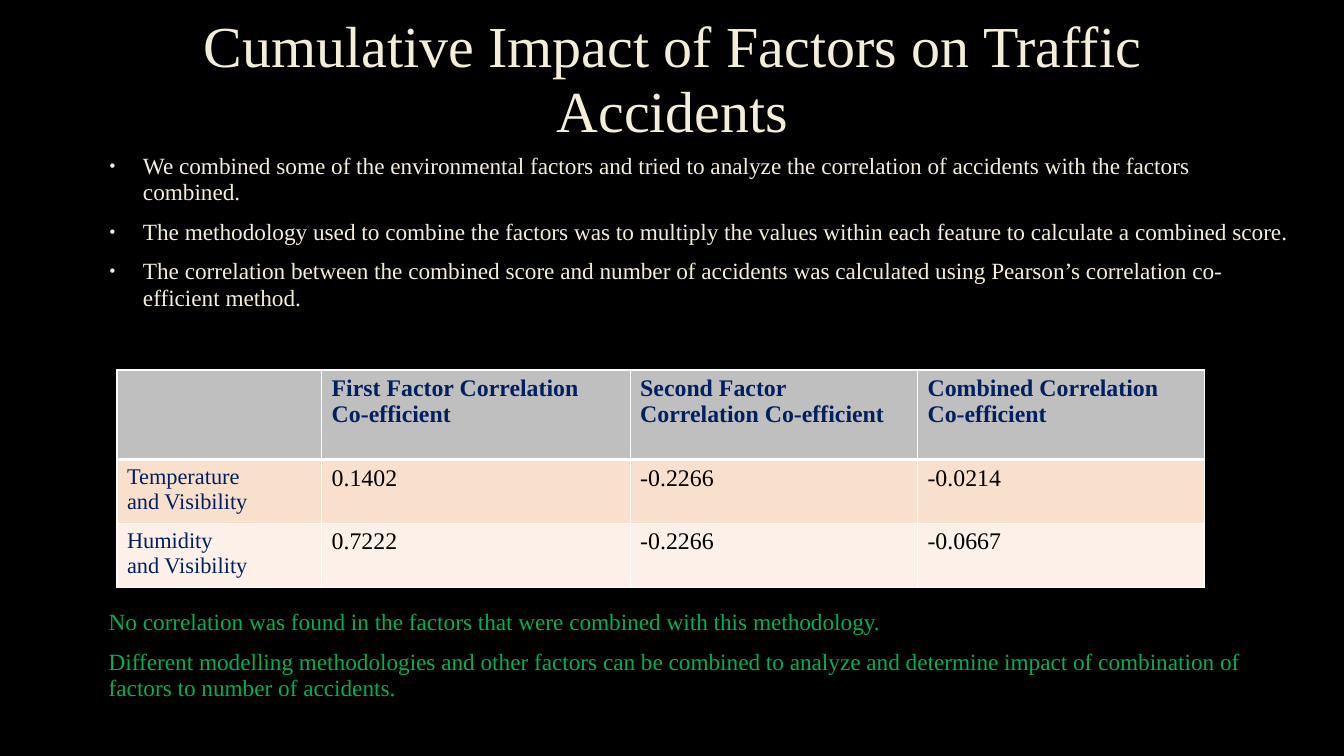
from lxml.etree import SubElement
from pptx import Presentation
from pptx.dml.color import RGBColor
from pptx.enum.text import MSO_ANCHOR, MSO_AUTO_SIZE, PP_ALIGN
from pptx.oxml.ns import qn
from pptx.util import Inches, Pt

BLACK = RGBColor(0x00, 0x00, 0x00)
WHITE = RGBColor(0xFF, 0xFF, 0xFF)
CREAM = RGBColor(0xF4, 0xED, 0xD8)
GREEN = RGBColor(0x00, 0xB0, 0x50)
NAVY = RGBColor(0x00, 0x20, 0x60)
GREY = RGBColor(0xBF, 0xBF, 0xBF)
PEACH = RGBColor(0xF9, 0xE0, 0xCD)
PALE_PEACH = RGBColor(0xFC, 0xF0, 0xE8)

METHOD_POINTS = [
    "We combined some of the environmental factors and tried to analyze the correlation "
    "of accidents with the factors combined.",
    "The methodology used to combine the factors was to multiply the values within each "
    "feature to calculate a combined score.",
    "The correlation between the combined score and number of accidents was calculated "
    "using Pearson’s correlation co-efficient method.",
]
CONCLUSIONS = [
    "No correlation was found in the factors that were combined with this methodology.",
    "Different modelling methodologies and other factors can be combined to analyze and "
    "determine impact of combination of factors to number of accidents.",
]
COLUMN_WIDTHS = [2.03, 3.06, 2.85, 2.85]
ROW_HEIGHTS = [0.89, 0.6, 0.63]
ROW_FILLS = [GREY, PEACH, PALE_PEACH]
CORRELATIONS = [
    [[], ["First Factor Correlation", "Co-efficient"],
     ["Second Factor Correlation Co-efficient"], ["Combined Correlation Co-efficient"]],
    [["Temperature", "and Visibility"], ["0.1402"], ["-0.2266"], ["-0.0214"]],
    [["Humidity", "and Visibility"], ["0.7222"], ["-0.2266"], ["-0.0667"]],
]


class SlideBuilder:
    font_name = "Times New Roman"
    body_size = 16.6

    def __init__(self, presentation):
        self.slide = presentation.slides.add_slide(presentation.slide_layouts[5])
        fill = self.slide.background.fill
        fill.solid()
        fill.fore_color.rgb = BLACK

    def add_run(self, paragraph, text, size, color, bold=False):
        run = paragraph.add_run()
        run.text = text
        run.font.name = self.font_name
        run.font.size = Pt(size)
        run.font.bold = bold
        run.font.color.rgb = color

    def add_paragraphs(self, frame, texts, size, color, bold=False):
        """Fill an empty text frame and return its paragraphs."""
        for index, text in enumerate(texts):
            paragraph = frame.add_paragraph() if index else frame.paragraphs[0]
            self.add_run(paragraph, text, size, color, bold)
        return frame.paragraphs

    def add_title(self, text, left, top, width, height):
        title = self.slide.shapes.title
        title.left, title.top = Inches(left), Inches(top)
        title.width, title.height = Inches(width), Inches(height)
        frame = title.text_frame
        frame.word_wrap = True
        frame.auto_size = MSO_AUTO_SIZE.NONE
        frame.vertical_anchor = MSO_ANCHOR.MIDDLE
        paragraph = self.add_paragraphs(frame, [text], 41.4, CREAM)[0]
        paragraph.alignment = PP_ALIGN.CENTER
        paragraph.line_spacing = 0.93

    def add_text(self, texts, left, top, width, height, color, bulleted=False):
        box = self.slide.shapes.add_textbox(
            Inches(left), Inches(top), Inches(width), Inches(height))
        frame = box.text_frame
        frame.word_wrap = True
        for paragraph in self.add_paragraphs(frame, texts, self.body_size, color):
            paragraph.line_spacing = 0.95
            paragraph.space_before = Pt(3.3)
            paragraph.space_after = Pt(6)
            properties = paragraph._p.get_or_add_pPr()
            properties.set("marL", str(Inches(0.38 if bulleted else 0.04)))
            properties.set("indent", str(Inches(-0.33 if bulleted else 0)))
            if bulleted:
                bullet_color = SubElement(properties, qn("a:buClr"))
                SubElement(bullet_color, qn("a:srgbClr"), val=str(color))
                SubElement(properties, qn("a:buSzPct"), val="70000")
                SubElement(properties, qn("a:buFont"), typeface="Arial")
                SubElement(properties, qn("a:buChar"), char="•")

    def set_borders(self, cell, top_width, bottom_width):
        properties = cell._tc.get_or_add_tcPr()
        widths = {"a:lnL": 1, "a:lnR": 1, "a:lnT": top_width, "a:lnB": bottom_width}
        for tag, width in widths.items():
            line = SubElement(properties, qn(tag), w=str(Pt(width)))
            line_fill = SubElement(line, qn("a:solidFill"))
            SubElement(line_fill, qn("a:srgbClr"), val=str(WHITE))

    def add_table(self, rows, left, top):
        table = self.slide.shapes.add_table(
            len(rows), len(COLUMN_WIDTHS), Inches(left), Inches(top),
            Inches(sum(COLUMN_WIDTHS)), Inches(sum(ROW_HEIGHTS))).table
        for column, width in zip(table.columns, COLUMN_WIDTHS):
            column.width = Inches(width)
        for row_index, texts_by_column in enumerate(rows):
            table.rows[row_index].height = Inches(ROW_HEIGHTS[row_index])
            is_header = row_index == 0
            for column_index, texts in enumerate(texts_by_column):
                cell = table.cell(row_index, column_index)
                self.set_borders(cell, 3 if row_index == 1 else 1, 3 if is_header else 1)
                cell.fill.solid()
                cell.fill.fore_color.rgb = ROW_FILLS[row_index]
                is_label = column_index == 0
                self.add_paragraphs(
                    cell.text_frame, texts, 16 if is_label else 17,
                    NAVY if is_header or is_label else BLACK, is_header)


def main():
    presentation = Presentation()
    presentation.slide_width = Inches(13.33)
    presentation.slide_height = Inches(7.5)
    builder = SlideBuilder(presentation)
    builder.add_title("Cumulative Impact of Factors on Traffic Accidents",
                      1.01, 0.22, 11.32, 1.16)
    builder.add_text(METHOD_POINTS, 0.94, 1.47, 11.94, 1.95, CREAM, bulleted=True)
    builder.add_table(CORRELATIONS, 1.16, 3.67)
    builder.add_text(CONCLUSIONS, 0.94, 6, 11.94, 1.1, GREEN)
    presentation.save("out.pptx")


if __name__ == "__main__":
    main()
